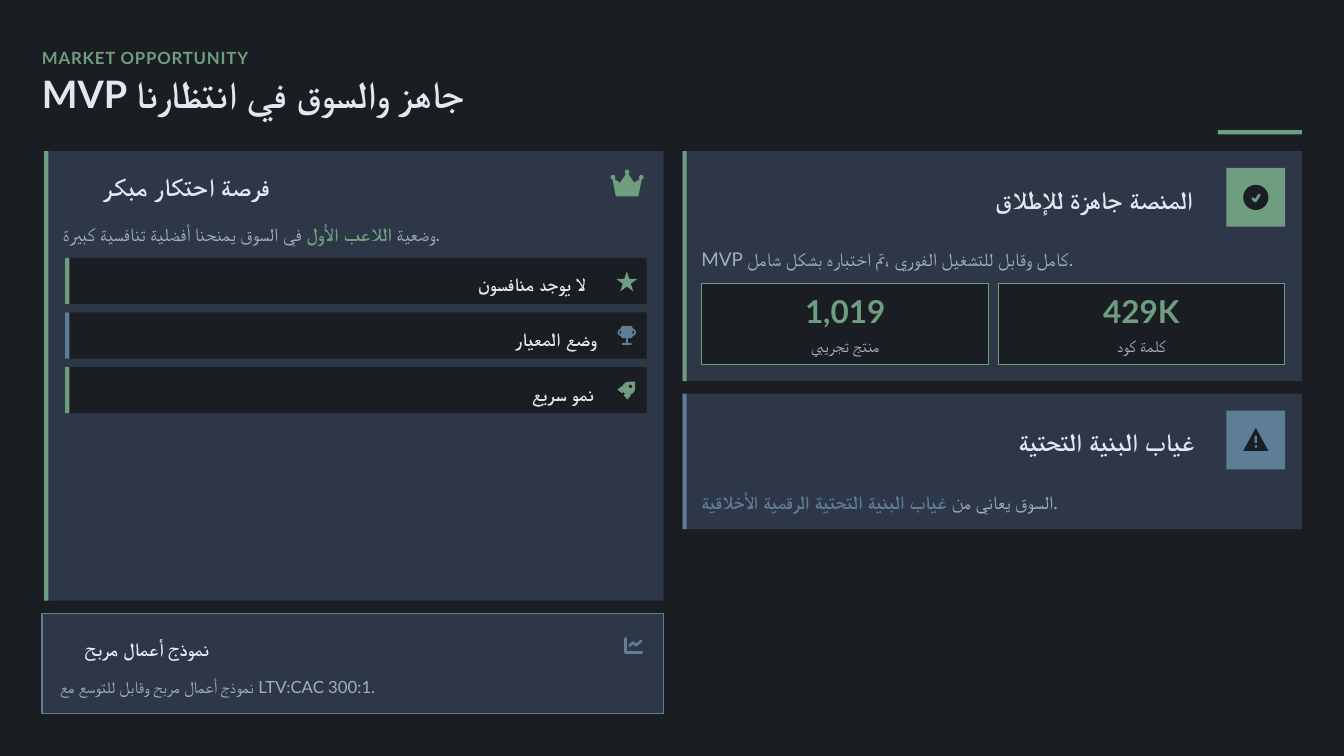
"""Build the market opportunity slide."""
from itertools import pairwise

from lxml import etree
from pptx import Presentation
from pptx.dml.color import RGBColor
from pptx.enum.shapes import MSO_CONNECTOR, MSO_SHAPE
from pptx.enum.text import MSO_ANCHOR, PP_ALIGN
from pptx.oxml.ns import qn
from pptx.util import Pt

RECT, OVAL, STAR = MSO_SHAPE.RECTANGLE, MSO_SHAPE.OVAL, MSO_SHAPE.STAR_5_POINT
PEAK, TEAR = MSO_SHAPE.ISOSCELES_TRIANGLE, MSO_SHAPE.TEAR
ROUND, GEM = MSO_SHAPE.ROUNDED_RECTANGLE, MSO_SHAPE.DIAMOND
LINE = MSO_CONNECTOR.STRAIGHT
MIDDLE = MSO_ANCHOR.MIDDLE
LEFT, CENTER = PP_ALIGN.LEFT, PP_ALIGN.CENTER
FONT = "Lato"
HEX = {"dark": "1A1D21", "card": "2D3748", "green": "6E9E7F",
       "blue": "5F7D95", "light": "E2E8F0", "grey": "A0AEC0"}

EYEBROW = "MARKET OPPORTUNITY"
TITLE = "MVP جاهز والسوق في انتظارنا"
CARDS = [
    {"top": 144, "high": 219, "hue": "green", "icon": "check", "wide": 220,
     "head": "المنصة جاهزة للإطلاق",
     "body": [("MVP كامل وقابل للتشغيل الفوري، تم اختباره بشكل شامل.", "grey")]},
    {"top": 375, "high": 129, "hue": "blue", "icon": "alert", "wide": 198,
     "head": "غياب البنية التحتية",
     "body": [("السوق يعاني من ", "grey"),
              ("غياب البنية التحتية الرقمية الأخلاقية", "blue"), (".", "grey")]},
]
STATS = [("1,019", "منتج تجريبي"), ("429K", "كلمة كود")]
LEAD = "فرصة احتكار مبكر"
CLAIM = [("وضعية ", "grey"), ("اللاعب الأول", "green"),
         (" في السوق يمنحنا أفضلية تنافسية كبيرة.", "grey")]
EDGES = [("لا يوجد منافسون", "star", "green", 131),
         ("وضع المعيار", "cup", "blue", 96),
         ("نمو سريع", "rocket", "green", 80)]
MODEL = "نموذج أعمال مربح"
RATIO = "نموذج أعمال مربح وقابل للتوسع مع LTV:CAC 300:1."

ICONS = {
    "check": [(OVAL, 0, 0, 24, 24, "dark")],
    "alert": [(PEAK, 0, 0.5, 24, 22, "dark"), (ROUND, 11, 8, 2, 7, "blue"),
              (OVAL, 11, 17, 2.5, 2.5, "blue")],
    "crown": [(OVAL, 15, 0.5, 4.5, 4.5, "green"), (OVAL, 1.5, 5.5, 4.5, 4.5, "green"),
              (OVAL, 28.5, 5.5, 4.5, 4.5, "green")],
    "star": [(STAR, -1, 0, 20, 19, "green")],
    "cup": [(OVAL, 0, 1, 18, 10, "blue"), (OVAL, 2, 3, 14, 6, "dark"),
            (ROUND, 3.5, 0, 11, 11.5, "blue"), (RECT, 8, 11, 2, 5, "blue"),
            (ROUND, 4.5, 16, 9, 2, "blue")],
    "rocket": [(GEM, 0, 5, 9, 7, "green"), (GEM, 6, 10, 7, 8, "green"),
               (TEAR, 4.5, 1, 12.5, 12.5, "green"), (OVAL, 11, 4, 3, 3, "dark")],
}
TICK = [(9, 13), (11.5, 15.5), (15.5, 9.5)]
AXES = [(1.5, 2), (1.5, 15.5), (17, 15.5)]
TREND = [(5, 9), (8.5, 6), (11.5, 8.5), (16, 4.5)]
CROWN = [(3, 8), (10.5, 13), (17.3, 3), (24, 13), (31.5, 8), (28, 26), (6.5, 26)]


def tint(name):
    return RGBColor.from_string(HEX[name])


def paint(shape, fill, line=None):
    shape.shadow.inherit = False
    shape.fill.solid()
    shape.fill.fore_color.rgb = tint(fill)
    if line:
        shape.line.color.rgb = tint(line)
        shape.line.width = Pt(1)
    else:
        shape.line.fill.background()


def box(x, y, w, h, fill, line=None, kind=RECT):
    paint(shapes.add_shape(kind, Pt(x), Pt(y), Pt(w), Pt(h)), fill, line)


def panel(x, y, w, h, fill, hue):
    box(x, y, w, h, fill)
    box(x, y, 4, h, hue)


def icon(name, x, y):
    for kind, left, top, w, h, hue in ICONS[name]:
        box(x + left, y + top, w, h, hue, kind=kind)


def stroke(points, x, y, hue):
    for (a, b), (c, d) in pairwise(points):
        wire = shapes.add_connector(LINE, Pt(x + a), Pt(y + b), Pt(x + c), Pt(y + d))
        wire.line.color.rgb = tint(hue)
        wire.line.width = Pt(2.5)
        etree.SubElement(wire.line._get_or_add_ln(), qn("a:round"))
        wire.line._get_or_add_ln().set("cap", "rnd")
        etree.SubElement(wire._element.spPr, qn("a:effectLst"))


def style(font, size, hue, bold):
    font.name, font.size, font.bold = FONT, Pt(size), bold
    font.color.rgb = tint(hue)


def text(x, y, w, h, runs, size, hue="light", bold=False, gap=1.0, align=LEFT):
    frame = shapes.add_textbox(Pt(x), Pt(y), Pt(w), Pt(h)).text_frame
    frame.word_wrap, frame.vertical_anchor = True, MIDDLE
    frame.margin_left = frame.margin_right = frame.margin_top = frame.margin_bottom = 0
    para = frame.paragraphs[0]
    para.alignment, para.line_spacing = align, gap
    if isinstance(runs, str):
        para.add_run().text = runs
        style(para.font, size, hue, bold)
        return para
    for words, shade in runs:
        run = para.add_run()
        run.text = words
        style(run.font, size, shade, shade != "grey")
    return para


deck = Presentation()
deck.slide_width, deck.slide_height = Pt(1280), Pt(720)
slide = deck.slides.add_slide(deck.slide_layouts[6])
slide.background.fill.solid()
slide.background.fill.fore_color.rgb = tint("dark")
shapes = slide.shapes

label = text(40, 40, 1208, 24, EYEBROW, 16, "green", True, 1.3)
label.font._rPr.set("spc", "80")
text(40, 72, 1218, 40, TITLE, 36, bold=True, gap=0.9)
box(1160, 124, 80, 4, "green")

for card in CARDS:
    top, hue, wide = card["top"], card["hue"], card["wide"]
    panel(650, top, 590, card["high"], "card", hue)
    box(1168, top + 16, 56, 56, hue)
    icon(card["icon"], 1184, top + 32)
    text(1168 - wide, top + 28, wide, 32, card["head"], 24, bold=True, gap=1.1)
    text(668, top + 84, 565, 29, card["body"], 18, gap=1.4)
stroke(TICK, 1184, 176, "green")

for i, (value, name) in enumerate(STATS):
    x = 668.5 + 282 * i
    box(x, 270, 273, 77, "dark", "green")
    text(x, 278, 273, 36, value, 30, "green", True, align=CENTER)
    text(x, 314, 273, 24, name, 16, "grey", gap=1.3, align=CENTER)

panel(42, 144, 590, 428, "card", "green")
icon("crown", 580, 161)
pen = shapes.build_freeform(Pt(CROWN[0][0]), Pt(CROWN[0][1]))
pen.add_line_segments([(Pt(a), Pt(b)) for a, b in CROWN[1:]])
paint(pen.convert_to_shape(Pt(580), Pt(161)), "green")
text(98, 160, 530, 32, LEAD, 24, bold=True, gap=1.1)
text(60, 204, 565, 29, CLAIM, 18, gap=1.4)
for i, (words, name, hue, wide) in enumerate(EDGES):
    y = 245.5 + 52 * i
    panel(62, y, 554, 44, "dark", hue)
    icon(name, 588, y + 13)
    text(586.5 - wide, y + 8, wide, 28, words, 18, bold=True, gap=1.3)

box(40, 584.5, 591.5, 95, "card", "blue")
for points in (AXES, TREND):
    stroke(points, 594.5, 606, "blue")
text(80, 601, 544, 28, MODEL, 18, bold=True, gap=1.3)
text(57, 637, 566, 26, RATIO, 16, "grey", gap=1.4)

deck.save("out.pptx")
